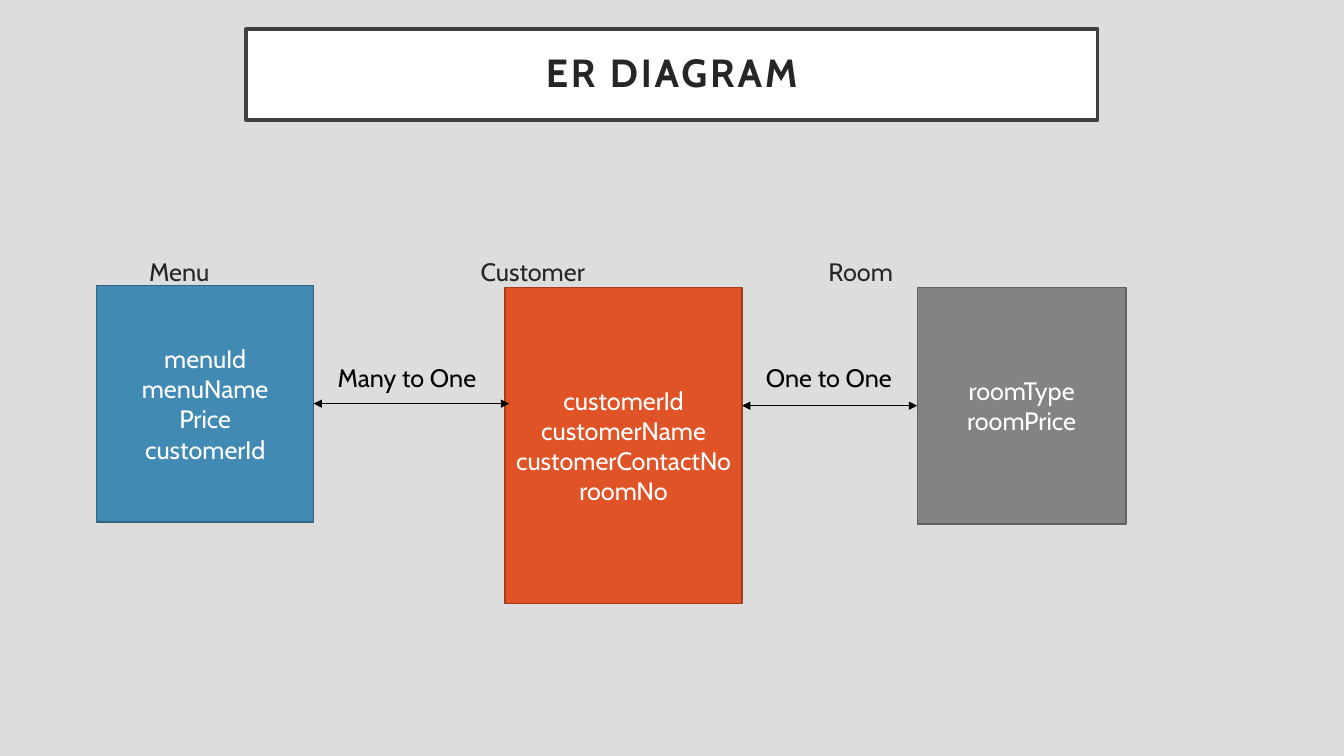
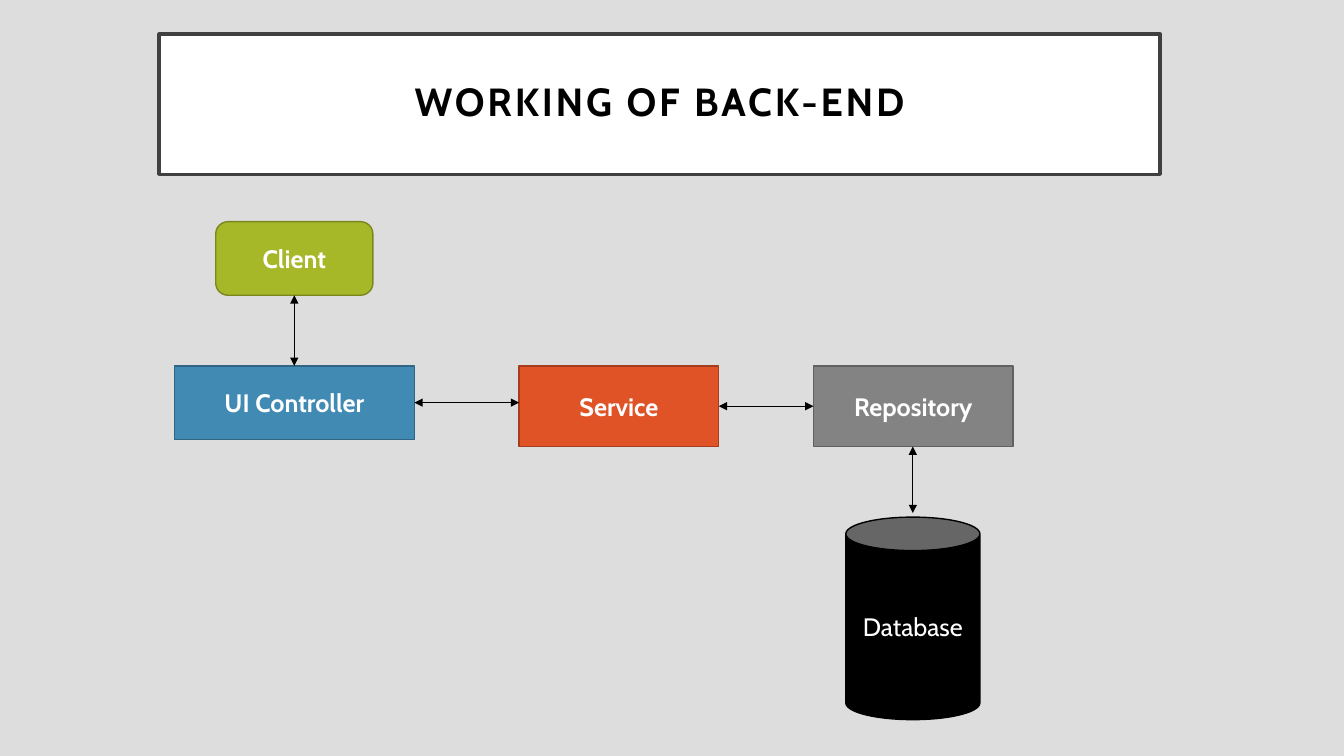
"""Builds two diagram slides: an entity-relationship model and a back-end flow."""
import lxml.etree
import pptx
import pptx.util
import pptx.oxml.ns
from pptx.dml.color import RGBColor
from pptx.enum.shapes import MSO_CONNECTOR, MSO_SHAPE
from pptx.enum.text import MSO_ANCHOR, PP_ALIGN

FONT = "Cabin"
BACKDROP = RGBColor(0xDD, 0xDD, 0xDD)
WHITE = RGBColor(0xFF, 0xFF, 0xFF)
BLACK = RGBColor(0, 0, 0)
INK = RGBColor(0x26, 0x26, 0x26)
FRAME = RGBColor(0x40, 0x40, 0x40)
BLUE = (RGBColor(0x41, 0x8A, 0xB3), RGBColor(0x30, 0x66, 0x84))
ORANGE = (RGBColor(0xDF, 0x53, 0x27), RGBColor(0xA5, 0x3D, 0x1D))
GREY = (RGBColor(0x83, 0x83, 0x83), RGBColor(0x61, 0x61, 0x61))
GREEN = (RGBColor(0xA6, 0xB7, 0x27), RGBColor(0x7B, 0x87, 0x1D))
SOLID_BLACK = (BLACK, BLACK)
RECT, ROUNDED, CAN = MSO_SHAPE.RECTANGLE, MSO_SHAPE.ROUNDED_RECTANGLE, MSO_SHAPE.CAN

WIDTH, HEIGHT = pptx.util.Inches(13.33), pptx.util.Inches(7.5)
TEXT_ROW = 5.33

SLIDES = [
    {
        "title": ("ER DIAGRAM", (18.3, 3.87, 63.37, 12), INK),
        "nodes": {
            "menu": (["menuId", "menuName", "Price", "customerId"],
                     (7.2, 37.73, 16.13, 31.33), RECT, BLUE, False),
            "customer": (["customerId", "customerName", "customerContactNo", "roomNo"],
                         (37.58, 38, 17.63, 41.87), RECT, ORANGE, False),
            "room": (["roomType", "roomPrice"],
                     (68.25, 38, 15.53, 31.33), RECT, GREY, False),
        },
        "captions": [
            ("Menu", (10.35, 33.2, 12, TEXT_ROW), INK),
            ("Customer", (35.03, 33.2, 12, TEXT_ROW), INK),
            ("Room", (60.9, 33.2, 12, TEXT_ROW), INK),
            ("Many to One", (24.38, 47.33, 12.8, TEXT_ROW), BLACK),
            ("One to One", (56.25, 47.33, 11.93, TEXT_ROW), BLACK),
        ],
        "across": [("menu", "customer", 0.3), ("customer", "room", 0)],
        "down": [],
    },
    {
        "title": ("WORKING OF BACK-END", (11.85, 4.53, 74.48, 18.53), BLACK),
        "nodes": {
            "client": (["Client"], (16.05, 29.33, 11.7, 9.73), ROUNDED, GREEN, True),
            "controller": (["UI Controller"], (12.98, 48.4, 17.85, 9.73), RECT, BLUE, True),
            "service": (["Service"], (38.63, 48.4, 14.85, 10.67), RECT, ORANGE, True),
            "repository": (["Repository"], (60.53, 48.4, 14.85, 10.67), RECT, GREY, True),
            "database": (["Database"], (62.93, 68.4, 9.98, 26.8), CAN, SOLID_BLACK, False),
        },
        "captions": [],
        "across": [("controller", "service", 0), ("service", "repository", 0)],
        "down": [("client", "controller", 0), ("repository", "database", -0.53)],
    },
]


def across(share):
    return round(WIDTH * share / 100)


def down(share):
    return round(HEIGHT * share / 100)


def place(area):
    left, top, width, height = area
    return across(left), down(top), across(width), down(height)


def write(shape, lines, color, size=18, bold=False, align=PP_ALIGN.CENTER,
          anchor=MSO_ANCHOR.MIDDLE, inset=None, line_spacing=None, tracking=None):
    frame = shape.text_frame
    frame.word_wrap = True
    frame.vertical_anchor = anchor
    if inset is not None:
        frame.margin_left = frame.margin_right = pptx.util.Inches(inset)
        frame.margin_top = frame.margin_bottom = pptx.util.Inches(inset)
    for number, line in enumerate(lines):
        paragraph = frame.add_paragraph() if number else frame.paragraphs[0]
        paragraph.alignment = align
        paragraph.line_spacing = line_spacing
        run = paragraph.add_run()
        run.text = line
        run.font.name = FONT
        run.font.size = pptx.util.Pt(size)
        run.font.bold = bold
        run.font.color.rgb = color
        if tracking:
            run._r.get_or_add_rPr().set("spc", str(tracking * 100))


def add_block(slide, kind, area, fill, outline, weight):
    block = slide.shapes.add_shape(kind, *place(area))
    block.shadow.inherit = False
    block.fill.solid()
    block.fill.fore_color.rgb = fill
    block.line.color.rgb = outline
    block.line.width = pptx.util.Pt(weight)
    return block


def add_title(slide, text, area, color):
    banner = add_block(slide, RECT, area, WHITE, FRAME, 2.5)
    write(banner, [text], color, size=28, bold=True, inset=0.2,
          line_spacing=0.9, tracking=2)


def add_arrow(slide, start, end):
    arrow = slide.shapes.add_connector(MSO_CONNECTOR.STRAIGHT, *start, *end)
    arrow.line.color.rgb = BLACK
    arrow.line.width = pptx.util.Pt(0.5)
    properties = arrow._element.spPr
    outline = properties.find(pptx.oxml.ns.qn("a:ln"))
    for tip in ("a:headEnd", "a:tailEnd"):
        lxml.etree.SubElement(outline, pptx.oxml.ns.qn(tip), type="triangle")
    lxml.etree.SubElement(properties, pptx.oxml.ns.qn("a:effectLst"))


def link_across(slide, source, target, reach):
    shorter = min(source, target, key=lambda block: block.height)
    level = shorter.top + shorter.height // 2
    add_arrow(slide, (source.left + source.width, level),
              (target.left + across(reach), level))


def link_down(slide, source, target, reach):
    narrower = min(source, target, key=lambda block: block.width)
    center = narrower.left + narrower.width // 2
    add_arrow(slide, (center, source.top + source.height),
              (center, target.top + down(reach)))


def build_slide(deck, content):
    slide = deck.slides.add_slide(deck.slide_layouts[6])
    slide.background.fill.solid()
    slide.background.fill.fore_color.rgb = BACKDROP
    add_title(slide, *content["title"])
    blocks = {}
    for key, (lines, area, kind, (fill, outline), bold) in content["nodes"].items():
        blocks[key] = add_block(slide, kind, area, fill, outline, 1)
        write(blocks[key], lines, WHITE, bold=bold)
    for text, area, color in content["captions"]:
        write(slide.shapes.add_textbox(*place(area)), [text], color,
              align=PP_ALIGN.LEFT, anchor=MSO_ANCHOR.TOP)
    for direction, link in (("across", link_across), ("down", link_down)):
        for source, target, reach in content[direction]:
            link(slide, blocks[source], blocks[target], reach)


deck = pptx.Presentation()
deck.slide_width, deck.slide_height = WIDTH, HEIGHT
for content in SLIDES:
    build_slide(deck, content)
deck.save("out.pptx")
